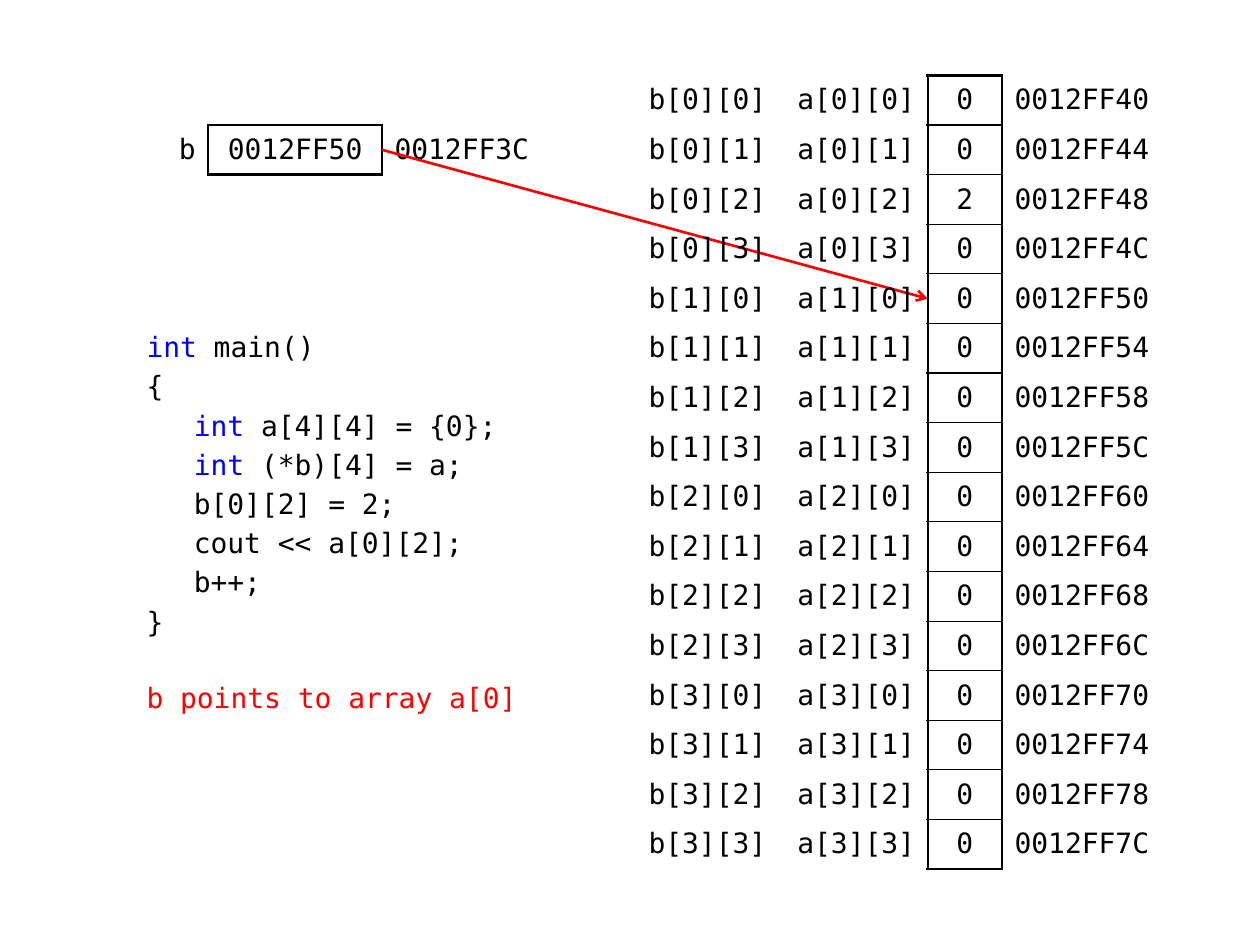
from dataclasses import dataclass

from lxml import etree
from pptx import Presentation
from pptx import util as u
from pptx.dml.color import RGBColor
from pptx.enum import shapes, text
from pptx.oxml import ns


@dataclass(frozen=True)
class Theme:
    font: str = "DejaVu Sans Mono"
    size: float = 16
    ink: str = "000000"
    keyword: str = "0000FF"
    accent: str = "FF0000"
    thick: float = 1.5
    thin: float = 0.75
    note_gap: float = 24.3
    plain_table: str = "{2D5ABB26-0587-4C30-8999-92F81FD0307C}"


THEME = Theme()
LEFT, TOP = 2.7, 1.52
SIDE = 4
BASE_ADDRESS = 0x12FF40
INT_BYTES = 4
RIGHT, CENTER, START = text.PP_ALIGN.RIGHT, text.PP_ALIGN.CENTER, text.PP_ALIGN.LEFT

CODE = (
    "int main()",
    "{",
    "\tint a[4][4] = {0};",
    "\tint (*b)[4] = a;",
    "\tb[0][2] = 2;",
    "\tcout << a[0][2];",
    "\tb++;",
    "}",
)
NOTE = "b points to array a[0]"


def grid(column, row):
    return u.Cm(LEFT + column), u.Cm(TOP + row)


def style_span(span, color):
    span.font.name = THEME.font
    span.font.size = u.Pt(THEME.size)
    span.font.color.rgb = RGBColor.from_string(color)


def add_line(para, pieces):
    etree.SubElement(para._p.get_or_add_pPr(), ns.qn("a:buNone"))
    for piece, color in pieces:
        if piece:
            span = para.add_run()
            span.text = piece
            style_span(span, color)


def fill_code(box):
    box.left, box.top = grid(0, 5)
    box.width, box.height = u.Cm(8.5), u.Cm(10)
    frame = box.text_frame
    frame.auto_size = text.MSO_AUTO_SIZE.NONE
    for number, line in enumerate(CODE):
        para = frame.add_paragraph() if number else frame.paragraphs[0]
        colors = (THEME.ink, THEME.keyword, THEME.ink)
        add_line(para, zip(line.partition("int"), colors))
    para = frame.add_paragraph()
    para.space_before = u.Pt(THEME.note_gap)
    add_line(para, [(NOTE, THEME.accent)])


def set_borders(cell, **widths):
    properties = cell._tc.get_or_add_tcPr()
    for side in "LRTB":
        if side in widths:
            line = etree.SubElement(properties, ns.qn(f"a:ln{side}"))
            line.set("w", str(u.Pt(widths[side])))
            fill = etree.SubElement(line, ns.qn("a:solidFill"))
            etree.SubElement(fill, ns.qn("a:srgbClr")).set("val", THEME.ink)


def fill_cell(cell, value, align):
    cell.margin_top = cell.margin_bottom = u.Cm(0.1)
    cell.vertical_anchor = text.MSO_ANCHOR.MIDDLE
    cell.text_frame.text = value
    para = cell.text_frame.paragraphs[0]
    para.alignment = align
    style_span(para.runs[0], THEME.ink)


def add_memory(page, column, row, widths, aligns, records):
    left, top = grid(column, row)
    frame = page.shapes.add_table(
        len(records), len(widths), left, top, u.Cm(sum(widths)), u.Cm(len(records))
    )
    table = frame.table
    table.first_row = table.horz_banding = False
    table._tbl.tblPr.find(ns.qn("a:tableStyleId")).text = THEME.plain_table
    for index, width in enumerate(widths):
        table.columns[index].width = u.Cm(width)
    boxed = len(widths) - 2
    last = len(records) - 1
    for number, record in enumerate(records):
        table.rows[number].height = u.Cm(1)
        for index, value in enumerate(record):
            fill_cell(table.cell(number, index), value, aligns[index])
        set_borders(table.cell(number, boxed - 1), R=THEME.thick)
        set_borders(
            table.cell(number, boxed),
            L=THEME.thick,
            R=THEME.thick,
            T=THEME.thin if number else THEME.thick,
            B=THEME.thin if number < last else THEME.thick,
        )
        set_borders(table.cell(number, boxed + 1), L=THEME.thick)
        for index in range(len(widths)):
            table.cell(number, index).fill.background()


def add_arrow(page, start, end):
    arrow = page.shapes.add_connector(
        shapes.MSO_CONNECTOR.STRAIGHT, *grid(*start), *grid(*end)
    )
    arrow.line.color.rgb = RGBColor.from_string(THEME.accent)
    arrow.line.width = u.Pt(THEME.thick)
    etree.SubElement(arrow.line._ln, ns.qn("a:tailEnd")).set("type", "arrow")
    etree.SubElement(arrow._element.spPr, ns.qn("a:effectLst"))


def array_records():
    records = []
    for index in range(SIDE * SIDE):
        row, column = divmod(index, SIDE)
        place = f"[{row}][{column}]"
        value = "2" if (row, column) == (0, 2) else "0"
        address = f"{BASE_ADDRESS + index * INT_BYTES:08X}"
        records.append((f"b{place}", f"a{place}", value, address))
    return records


def main():
    deck = Presentation()
    deck.slide_width, deck.slide_height = u.Inches(10), u.Inches(7.5)
    page = deck.slides.add_slide(deck.slide_layouts[1])
    title = page.shapes.title._element
    title.getparent().remove(title)
    fill_code(page.placeholders[1])
    add_memory(
        page, 0.5, 1, (1, 3.5, 3.5), (RIGHT, CENTER, START),
        [("b", "0012FF50", "0012FF3C")],
    )
    add_arrow(page, (5, 1.5), (16, 4.5))
    add_memory(
        page, 10, 0, (3, 3, 1.5, 3.5), (RIGHT, RIGHT, CENTER, START), array_records()
    )
    deck.save("out.pptx")


if __name__ == "__main__":
    main()
